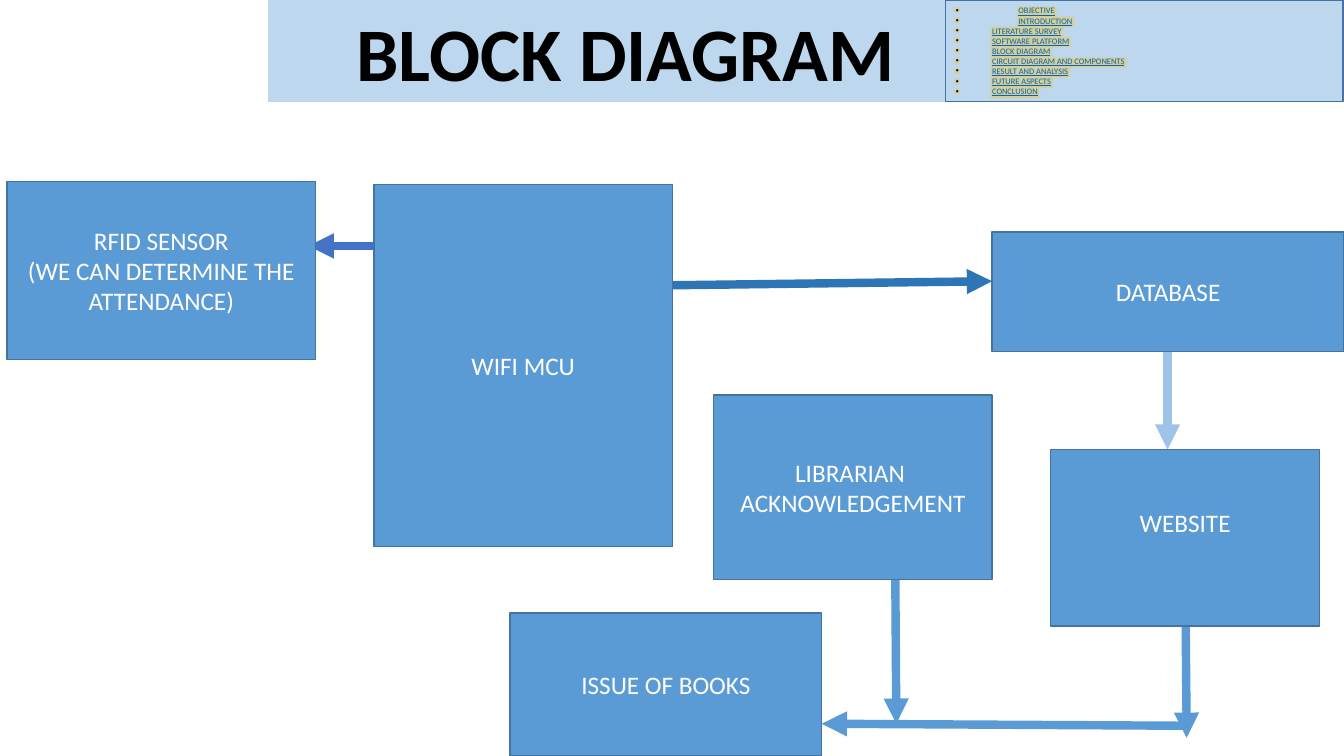
from lxml import etree
from pptx import Presentation
from pptx.dml.color import RGBColor
from pptx.enum import shapes, text
from pptx.oxml import ns
from pptx.util import Inches, Pt

BLUE, EDGE, PALE = "5B9BD5", "43739E", "BDD7EE"
LEFT, MID = text.PP_ALIGN.LEFT, text.PP_ALIGN.CENTER


def hue(code):
    return RGBColor.from_string(code)


def node(host, tag, **attrs):
    return etree.SubElement(host, ns.qn(tag), attrs)


def write(para, words, size=18, color="FFFFFF", bold=False, line=False, align=MID):
    """Add one formatted run to a paragraph."""
    para.alignment = align
    para.line_spacing = 1.0
    para.space_before = para.space_after = Pt(0)
    run = para.add_run()
    run.text = words
    font = run.font
    font.name, font.size = "Calibri", Pt(size)
    font.bold, font.underline = bold, line
    font.color.rgb = hue(color)
    return run


class Board:
    """Holds the style and the current slide."""

    def __init__(self, deck):
        self.slide = deck.slides.add_slide(deck.slide_layouts[1])

    def place(self, item, at, fill, edge=None):
        item.left, item.top, item.width, item.height = map(Inches, at)
        item.fill.solid()
        item.fill.fore_color.rgb = hue(fill)
        if edge:
            item.line.color.rgb = hue(edge)
            item.line.width = Pt(1)
        frame = item.text_frame
        frame.word_wrap = True
        frame.auto_size = text.MSO_AUTO_SIZE.NONE
        frame.vertical_anchor = text.MSO_ANCHOR.MIDDLE
        return frame

    def title(self, words, at):
        frame = self.place(self.slide.shapes.title, at, PALE)
        write(frame.paragraphs[0], words, size=54, color="000000", bold=True)

    def menu(self, items, at):
        frame = self.place(self.slide.placeholders[1], at, PALE, EDGE)
        for i, (words, dent) in enumerate(items):
            para = frame.paragraphs[0] if i == 0 else frame.add_paragraph()
            props = para._p.get_or_add_pPr()
            props.set("marL", str(Inches(dent)))
            props.set("indent", str(-Inches(dent)))
            node(node(props, "a:buClr"), "a:srgbClr", val="000000")
            node(props, "a:buFont", typeface="Arial")
            node(props, "a:buChar", char="•")
            self.glow(write(para, words, size=6, color="0563C1", line=True, align=LEFT))

    def glow(self, run):
        fill = run._r.rPr.find(ns.qn("a:solidFill"))
        list_ = etree.Element(ns.qn("a:effectLst"))
        halo = node(list_, "a:glow", rad=str(Pt(5)))
        tint = node(halo, "a:srgbClr", val="FFC000")
        node(tint, "a:alpha", val="40000")
        fill.addnext(list_)

    def block(self, lines, at, lift=0):
        item = self.slide.shapes.add_shape(shapes.MSO_SHAPE.RECTANGLE, 0, 0, 0, 0)
        item.shadow.inherit = False
        frame = self.place(item, at, BLUE, EDGE)
        frame.margin_bottom = Inches(0.05 + lift)
        for i, words in enumerate(lines):
            write(frame.paragraphs[0] if i == 0 else frame.add_paragraph(), words)

    def arrow(self, start, end, color=BLUE):
        link = self.slide.shapes.add_connector(
            shapes.MSO_CONNECTOR.STRAIGHT, *map(Inches, start + end))
        link.line.color.rgb = hue(color)
        link.line.width = Pt(6)
        node(link.line._get_or_add_ln(), "a:tailEnd", type="triangle")
        node(link._element.spPr, "a:effectLst")


def main():
    deck = Presentation()
    deck.slide_width, deck.slide_height = Inches(13.33), Inches(7.5)
    board = Board(deck)

    # Header band and contents list
    board.title("BLOCK DIAGRAM", (2.66, 0, 7.09, 1.01))
    wide, slim = 0.62, 0.36
    board.menu([
        ("OBJECTIVE", wide),
        ("INTRODUCTION", wide),
        ("LITERATURE SURVEY", slim),
        ("SOFTWARE PLATFORM", slim),
        ("BLOCK DIAGRAM", slim),
        ("CIRCUIT DIAGRAM AND COMPONENTS", slim),
        ("RESULT AND ANALYSIS", slim),
        ("FUTURE ASPECTS", slim),
        ("CONCLUSION", slim),
    ], (9.38, 0, 3.94, 1.01))

    # Arrows, behind the blocks
    board.arrow((3.71, 2.44), (3.06, 2.44), "4472C4")
    board.arrow((6.67, 2.83), (9.84, 2.79), "2E75B6")
    board.arrow((11.58, 3.49), (11.58, 4.46), "9DC3E6")
    board.arrow((11.76, 6.21), (11.77, 7.32))
    board.arrow((11.76, 7.2), (8.15, 7.18))
    board.arrow((8.88, 5.75), (8.89, 7.18))

    # Blocks
    board.block(["WIFI MCU"], (3.71, 1.83, 2.96, 3.59))
    board.block(["RFID SENSOR", "(WE CAN DETERMINE THE ATTENDANCE)"],
                (0.07, 1.8, 3.06, 1.77))
    board.block(["DATABASE"], (9.84, 2.3, 3.49, 1.19))
    board.block(["WEBSITE"], (10.42, 4.46, 2.67, 1.75), lift=0.3)
    board.block(["ISSUE OF BOOKS"], (5.06, 6.08, 3.09, 1.42))
    board.block(["LIBRARIAN ", "ACKNOWLEDGEMENT"], (7.08, 3.92, 2.76, 1.83))

    deck.save("out.pptx")


if __name__ == "__main__":
    main()
